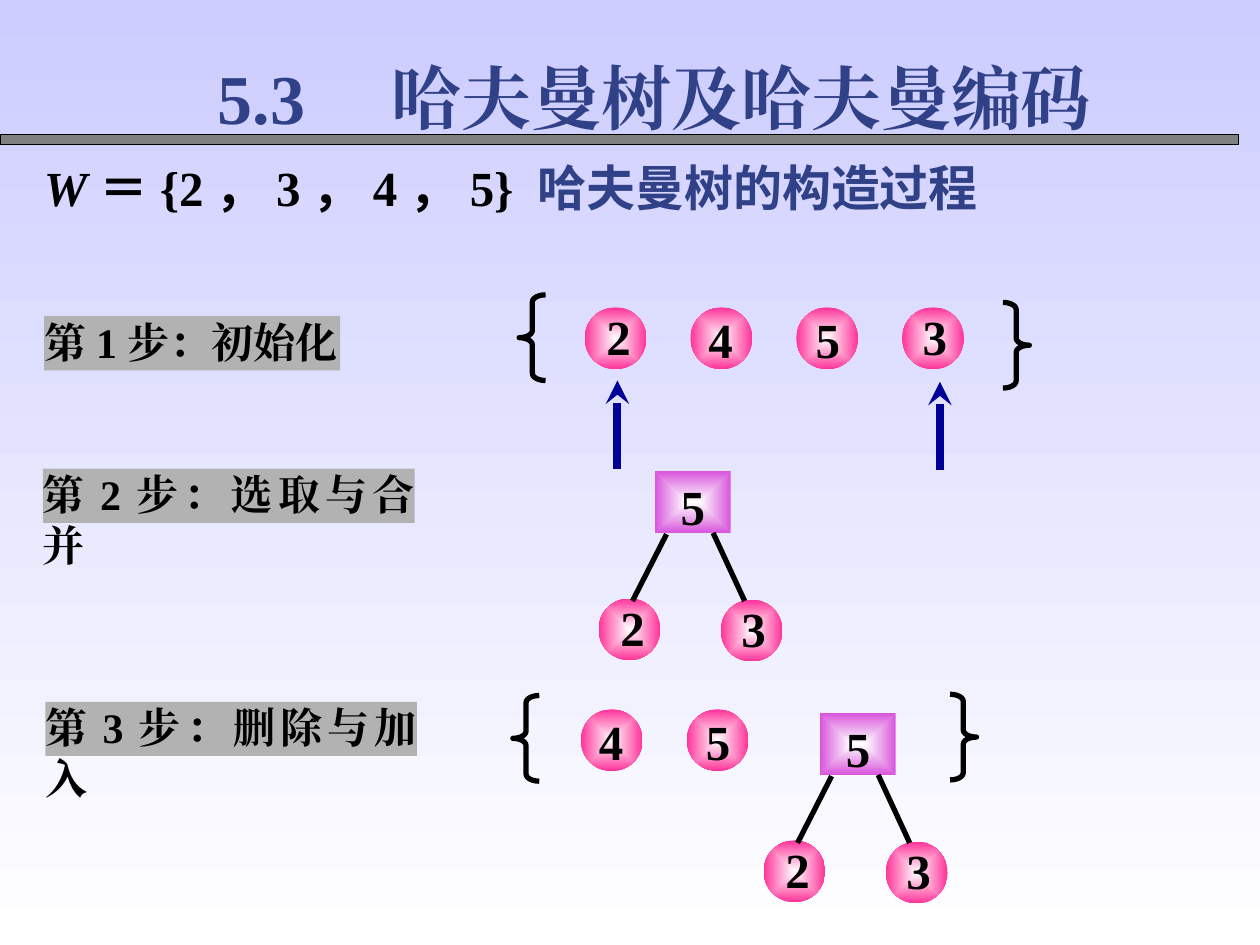
import lxml.etree
import pptx
import pptx.dml.color
import pptx.enum.shapes
import pptx.enum.text
import pptx.oxml
import pptx.oxml.ns
import pptx.util

SHAPE = pptx.enum.shapes.MSO_SHAPE
ALIGN = pptx.enum.text.PP_ALIGN
COLORS = {"ink": "000000", "heading": "314187", "rule": "808080", "label": "B2B2B2",
          "arrow": "000099", "leaf": "FF3399", "parent": "D955DC",
          "white": "FFFFFF", "sky": "CCCCFF"}
LATIN, HAN = "Times New Roman", "Noto Sans CJK SC"

title = "5.3\t哈夫曼树及哈夫曼编码"
weights = [("W", LATIN, "ink"), ("＝", HAN, "ink"), ("{2", LATIN, "ink"), ("，", HAN, "ink"),
           ("3", LATIN, "ink"), ("，", HAN, "ink"), ("4", LATIN, "ink"), ("，", HAN, "ink"),
           ("5} ", LATIN, "ink"), ("哈夫曼树的构造过程", HAN, "heading")]
steps = [("第1步：初始化", 3.5, 25.1, 23.5),
         ("第2步：选取与合并", 3.4, 37.2, 29.5),
         ("第3步：删除与加入", 3.6, 55.7, 29.5)]
forests = [("2453", 46.4, 24.4), ("45", 46.1, 56.3)]
braces = [(SHAPE.LEFT_BRACE, 41.2, 23.4), (SHAPE.RIGHT_BRACE, 79.6, 24),
          (SHAPE.LEFT_BRACE, 40.7, 55.2), (SHAPE.RIGHT_BRACE, 75.4, 55.1)]
chosen = [(49, 37.2), (74.6, 37.3)]
trees = [(52, 37.4), (65.1, 56.6)]
branches = [("2", -4.5, 10.1, (0.9, 5), (-1.8, 10.3)),
            ("3", 5.2, 10.2, (4.6, 4.9), (7.1, 10.3))]
digit_shift = {"2": (0.6, -0.1), "3": (0.5, -0.1), "4": (0.3, 0.2), "5": (0.4, 0.2)}
NODE, PITCH = 4.9, 8.4

deck = pptx.Presentation()
deck.slide_width, deck.slide_height = pptx.util.Inches(10), pptx.util.Inches(7.5)
slide = deck.slides.add_slide(deck.slide_layouts[6])


def share(*hundredths):
    return [round(deck.slide_width * part / 100) for part in hundredths]


def rgb(name):
    return pptx.dml.color.RGBColor.from_string(COLORS[name])


def style(run, size, color="ink", font=LATIN):
    run.font.size, run.font.bold, run.font.name = pptx.util.Pt(size), True, font
    run.font.color.rgb = rgb(color)
    east_asian = lxml.etree.SubElement(run.font._element, pptx.oxml.ns.qn("a:ea"))
    east_asian.set("typeface", font)


def prepare(holder, margin=0.0, align=ALIGN.LEFT):
    frame = holder.text_frame
    frame.word_wrap = True
    frame.vertical_anchor = pptx.enum.text.MSO_ANCHOR.TOP
    frame.margin_left = frame.margin_right = pptx.util.Inches(margin)
    frame.margin_top = frame.margin_bottom = pptx.util.Inches(margin / 2)
    frame.paragraphs[0].alignment = align
    return frame.paragraphs[0]


def write(holder, words, size, color="ink", margin=0.0, align=ALIGN.CENTER):
    line = prepare(holder, margin, align)
    line.text = words
    style(line.runs[0], size, color)
    return line


def textbox(*place):
    return slide.shapes.add_textbox(*share(*place))


def outline(shape, width, color="ink"):
    shape.line.color.rgb = rgb(color)
    shape.line.width = pptx.util.Pt(width)


def block(kind, place, fill=None):
    shape = slide.shapes.add_shape(kind, *share(*place))
    shape.shadow.inherit = False
    shape.line.fill.background()
    if fill:
        shape.fill.solid()
        shape.fill.fore_color.rgb = rgb(fill)
    else:
        shape.fill.background()
    return shape


def glow(shape, edge):
    shape.fill.gradient()
    for stop, color in zip(shape.fill.gradient_stops, ("white", edge)):
        stop.color.rgb = rgb(color)
    for stop, position in zip(shape.fill.gradient_stops, (0, 1)):
        stop.position = position
    gradient = shape._element.spPr.find(pptx.oxml.ns.qn("a:gradFill"))
    gradient.remove(gradient.find(pptx.oxml.ns.qn("a:lin")))
    gradient.append(pptx.oxml.parse_xml(
        f'<a:path {pptx.oxml.ns.nsdecls("a")} path="rect">'
        '<a:fillToRect l="50000" t="50000" r="50000" b="50000"/></a:path>'))


def connect(start, end, width, color="ink", arrow=False):
    link = slide.shapes.add_connector(pptx.enum.shapes.MSO_CONNECTOR.STRAIGHT,
                                      *share(*start, *end))
    outline(link, width, color)
    if arrow:
        tip = lxml.etree.SubElement(link.line._get_or_add_ln(), pptx.oxml.ns.qn("a:tailEnd"))
        tip.set("type", "stealth")
    lxml.etree.SubElement(link._element.spPr, pptx.oxml.ns.qn("a:effectLst"))


def leaf(digit, x, y):
    glow(block(SHAPE.OVAL, (x, y, NODE, NODE)), "leaf")
    dx, dy = digit_shift[digit]
    write(textbox(x + dx, y + dy, 4.2, 5.7), digit, 28)


def tree(x, y):
    root = block(SHAPE.RECTANGLE, (x, y, 6, NODE))
    glow(root, "parent")
    write(root, "5", 28)
    root.text_frame.margin_top = pptx.util.Inches(0.04)
    for digit, dx, dy, start, end in branches:
        leaf(digit, x + dx, y + dy)
        connect((x + start[0], y + start[1]), (x + end[0], y + end[1]), 3)


backdrop = slide.background.fill
backdrop.gradient()
backdrop.gradient_angle = 270
for stop, color, position in zip(backdrop.gradient_stops, ("sky", "white"), (0, 1)):
    stop.color.rgb = rgb(color)
    stop.position = position

outline(block(SHAPE.RECTANGLE, (0, 10.7, 98.3, 0.8), "rule"), 0.75)

heading = write(textbox(16.3, 3.8, 77.1, 7.7), title, 40, "heading", 0.1, ALIGN.LEFT)
for run in heading.runs[1:]:
    style(run, 40, "heading")
heading._p.get_or_add_pPr().append(pptx.oxml.parse_xml(
    f'<a:tabLst {pptx.oxml.ns.nsdecls("a")}>'
    f'<a:tab pos="{pptx.util.Inches(1.38)}" algn="l"/></a:tabLst>'))

weight_line = prepare(textbox(2.5, 12, 92.5, 5.7), 0.1)
for words, font, color in weights:
    part = weight_line.add_run()
    part.text = words
    style(part, 28, color, font)
weight_line.runs[0].font.italic = True

for words, x, y, width in steps:
    write(block(SHAPE.RECTANGLE, (x, y, width, 4.3), "label"), words, 24, align=ALIGN.JUSTIFY)

for digits, x, y in forests:
    for column, digit in enumerate(digits):
        leaf(digit, x + column * PITCH, y)
for kind, x, y in braces:
    brace = block(kind, (x, y, 2.1, 6.8))
    brace.adjustments[0] = 0.27
    outline(brace, 3)
for x, y in chosen:
    connect((x, y), (x, y - 7), 4.5, "arrow", True)
for x, y in trees:
    tree(x, y)

deck.save("out.pptx")
